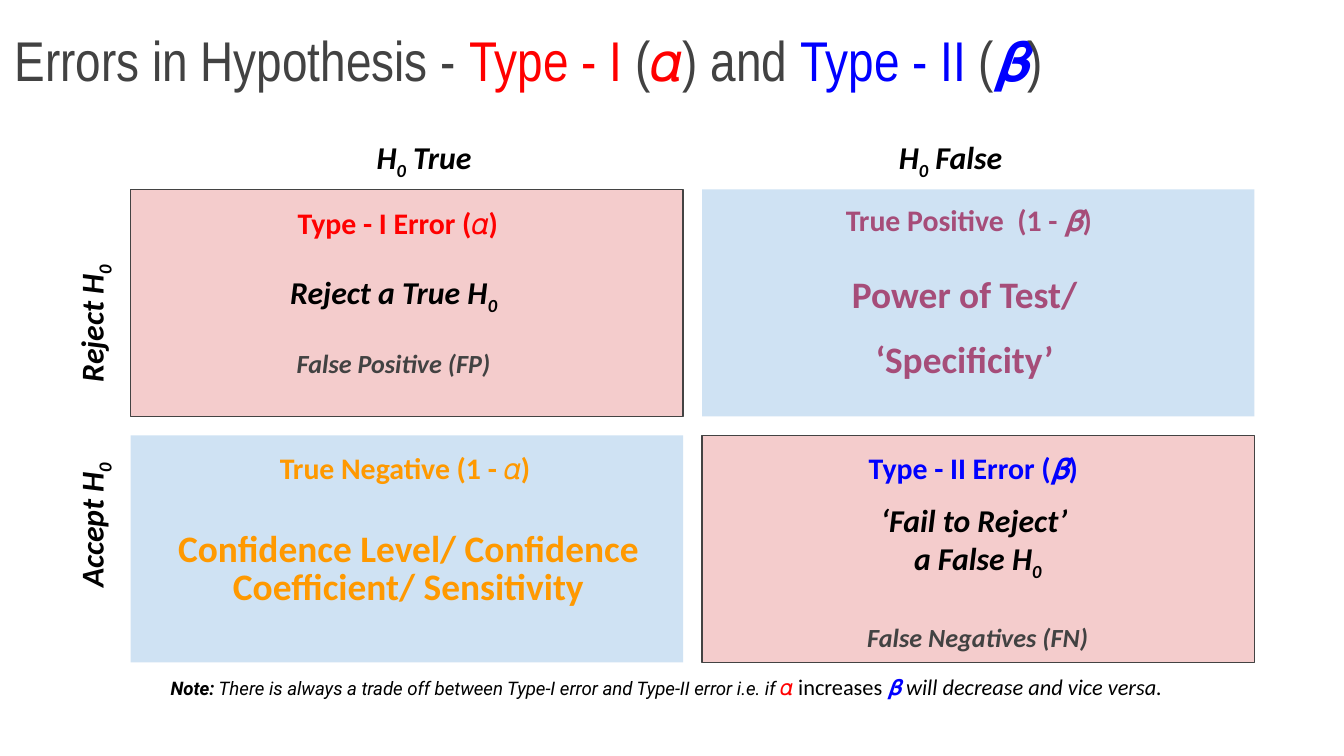
from dataclasses import dataclass

from pptx import Presentation
from pptx.dml.color import RGBColor
from pptx.enum.shapes import MSO_SHAPE as SHAPE
from pptx.enum.text import MSO_ANCHOR as ANCHOR, MSO_AUTO_SIZE as AUTO, PP_ALIGN as ALIGN
from pptx.util import Cm, Pt


@dataclass(frozen=True)
class Theme:
    black: str = "000000"
    grey: str = "424242"
    border: str = "434343"
    red: str = "FF0000"
    blue: str = "0000FF"
    orange: str = "FF9900"
    plum: str = "A64D79"
    error_fill: str = "F4CCCC"
    correct_fill: str = "CFE2F3"
    title: int = 30
    big: int = 20
    label: int = 17
    heading: int = 16
    small: int = 14
    symbol: int = 12
    note: int = 10
    font: str = "Calibri"
    title_font: str = "Arial Narrow"
    note_font: str = "Roboto"


T = Theme()


def add_runs(p, runs, size, color=T.black, style="", font=T.font):
    """Each run is (text, overrides); style holds b (bold), i (italic), s (subscript)."""
    for text, changes in runs:
        look = {"size": size, "color": color, "style": style, "font": font, **changes}
        r = p.add_run()
        r.text = text
        r.font.size = Pt(look["size"])
        r.font.name = look["font"]
        r.font.color.rgb = RGBColor.from_string(look["color"])
        r.font.bold = "b" in look["style"]
        r.font.italic = "i" in look["style"]
        if "s" in look["style"]:
            r.font._element.set("baseline", "-25000")


def add_text(box, paragraphs, spacing=1.0, rotation=0, **look):
    """Each paragraph is (space before in points, runs)."""
    sp = slide.shapes.add_textbox(*map(Cm, box))
    sp.rotation = rotation
    tf = sp.text_frame
    tf.word_wrap = True
    tf.margin_left = tf.margin_right = tf.margin_top = tf.margin_bottom = Cm(0.25)
    for i, (before, runs) in enumerate(paragraphs):
        p = tf.add_paragraph() if i else tf.paragraphs[0]
        p.alignment = ALIGN.CENTER
        p.line_spacing = spacing
        if before:
            p.space_before = Pt(before)
        add_runs(p, runs, **look)


prs = Presentation()
prs.slide_width, prs.slide_height = Cm(25.4), Cm(14.29)
slide = prs.slides.add_slide(prs.slide_layouts[5])

# Title
title = slide.shapes.title
title.left, title.top, title.width, title.height = Cm(0.03), Cm(-0.03), Cm(23.67), Cm(2.03)
tf = title.text_frame
tf.auto_size = AUTO.NONE
tf.vertical_anchor = ANCHOR.BOTTOM
tf.margin_left = tf.margin_right = tf.margin_top = tf.margin_bottom = Cm(0.25)
tf.paragraphs[0].alignment = ALIGN.LEFT
add_runs(tf.paragraphs[0], [
    ("Errors in Hypothesis - ", {}),
    ("Type - I ", {"color": T.red}),
    ("(", {}),
    ("𝛼", {"color": T.red}),
    (") and ", {}),
    ("Type - II", {"color": T.blue}),
    (" (", {}),
    ("𝛃", {"color": T.blue, "style": "i"}),
    (")", {}),
], size=T.title, color=T.grey, font=T.title_font)

# Two-by-two grid: errors on one diagonal, correct decisions on the other
for row in range(2):
    for col in range(2):
        sp = slide.shapes.add_shape(SHAPE.RECTANGLE, Cm(2.47 + 10.8 * col), Cm(3.58 + 4.65 * row),
                                    Cm(10.44), Cm(4.29))
        sp.shadow.inherit = False
        is_error = row == col
        sp.fill.solid()
        sp.fill.fore_color.rgb = RGBColor.from_string(T.error_fill if is_error else T.correct_fill)
        if is_error:
            sp.line.color.rgb = RGBColor.from_string(T.border)
            sp.line.width = Pt(0.75)
        else:
            sp.line.fill.background()

# Row and column labels
SUB_0 = ("0", {"style": "bis"})
for left, state in ((5.49, " True"), (15.44, " False")):
    add_text((left, 2.36, 5.05, 0.91), [(0, [("H", {}), SUB_0, (state, {})])],
             size=T.label, style="bi")
for top, decision in ((5.66, "Reject H"), (9.47, "Accept H")):
    add_text((-0.3, top, 3.73, 0.91), [(0, [(decision, {}), SUB_0])],
             rotation=270, size=T.label, style="bi")

# Cell headings
BETA = ("𝛃", {"style": "i"})
headings = [
    (2.57, 3.66, T.red, 0.95, [("Type - I Error (𝛼)", {})]),
    (13.36, 3.66, T.plum, 0.85, [("True Positive  (1 - ", {}), BETA, (")", {})]),
    (2.77, 8.3, T.orange, 0.95, [("True Negative (1 - 𝛼) ", {})]),
    (13.51, 8.3, T.blue, 0.95, [("Type - II Error (", {}), BETA, (") ", {})]),
]
for left, top, color, spacing, runs in headings:
    add_text((left, top, 9.9, 1.12), [(0, runs)], spacing,
             size=T.heading, color=color, style="b")

# Cell contents
small = {"size": T.small, "color": T.grey}
add_text((4.01, 4.9, 6.86, 2.36), [
    (0, [("Reject a True H", {}), SUB_0]),
    (17, [("False Positive (FP)", small)]),
], size=T.label, style="bi")
add_text((14.86, 9.22, 7.24, 2.79), [
    (0, [("‘Fail to Reject’ ", {})]),
    (0, [("a False H", {}), SUB_0]),
    (21, [("False Negatives (FN)", small)]),
], size=T.label, style="bi")
add_text((2.77, 9.8, 9.9, 2.03),
         [(0, [("Confidence Level/ Confidence Coefficient/ Sensitivity", {})])],
         0.85, size=T.big, color=T.orange, style="b")
add_text((13.36, 4.93, 9.9, 2.57),
         [(0, [("Power of Test/ ", {})]), (12, [("‘Specificity’ ", {})])],
         0.95, size=T.big, color=T.plum, style="b")

# Note
plain = {"size": T.symbol, "font": T.font}
add_text((2.03, 12.47, 21.23, 0.91), [(0, [
    ("Note:", {"style": "bi"}),
    (" There is always a trade off between Type-I error and Type-II error i.e. if ", {}),
    ("𝛼 ", {**plain, "color": T.red, "style": "b"}),
    ("increases ", {**plain, "style": ""}),
    ("𝛃 ", {**plain, "color": T.blue}),
    ("will decrease and vice versa. ", plain),
])], size=T.note, style="i", font=T.note_font)

prs.save("out.pptx")
